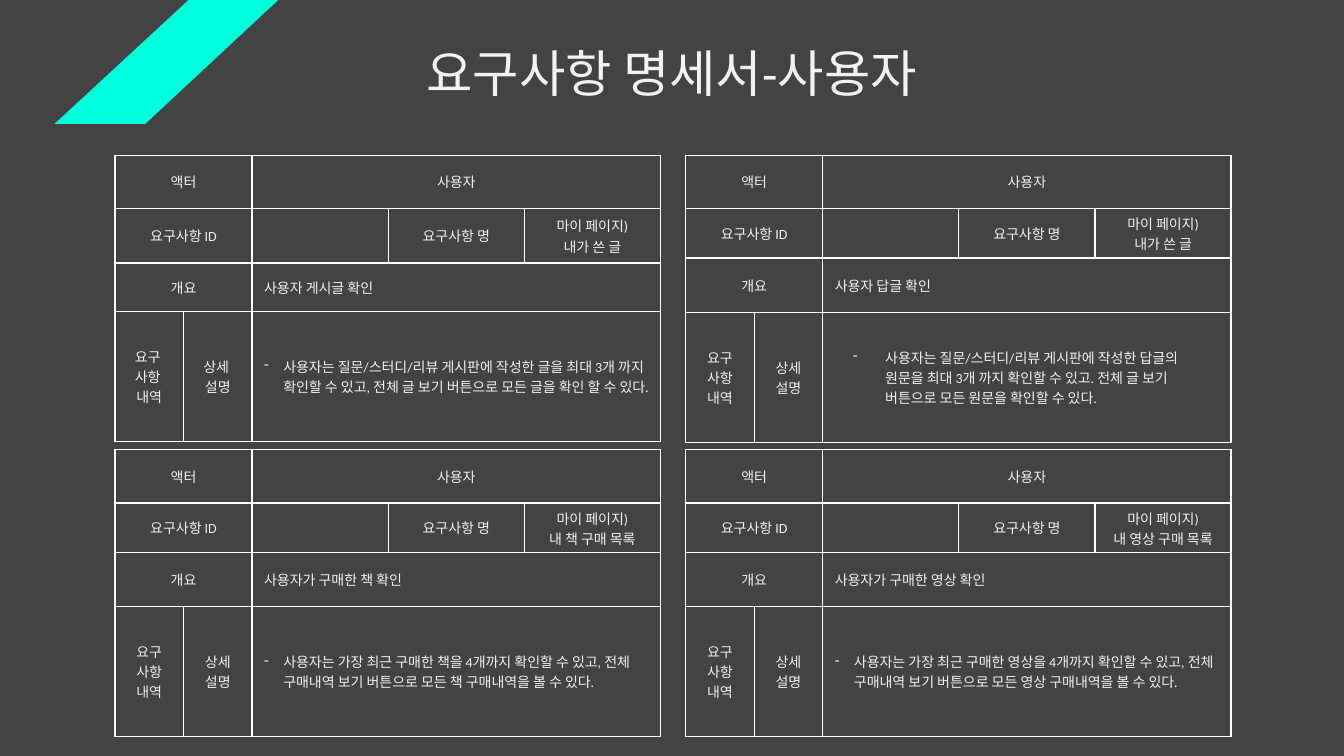
from dataclasses import dataclass

from lxml import etree
from pptx import Presentation
from pptx import util as u
from pptx.dml.color import RGBColor
from pptx.enum import text
from pptx.oxml import ns
from pptx.slide import Slide
from pptx.table import Table, _Cell
from pptx.text.text import TextFrame


@dataclass(frozen=True)
class Theme:
    back: str = "434343"
    ink: str = "F2F2F2"
    line: str = "FFFFFF"
    accent: str = "00FFDB"
    face: str = "Calibri"
    head: int = 36
    body: int = 10


@dataclass(frozen=True)
class Card:
    left: float
    top: float
    name: str
    brief: str
    detail: str
    rows: tuple[float, ...] = (0.53, 0.49, 0.54, 1.29)
    margin: float = 0.19
    indent: float = -0.19
    gap: str = ""


THEME = Theme()
COLS = (0.68, 0.68, 1.35, 1.35, 1.35)
LEFT, RIGHT = 1.14, 6.8
UPPER, LOWER = 1.54, 4.46
MERGES = ((0, 0, 1), (0, 2, 4), (1, 0, 1), (2, 0, 1), (2, 2, 4), (3, 2, 4))
CARDS = (
    Card(LEFT, UPPER, "내가 쓴 글", "사용자 게시글 확인",
         "사용자는 질문/스터디/리뷰 게시판에 작성한 글을 최대 3개 까지 확인할 수 있고, "
         "전체 글 보기 버튼으로 모든 글을 확인 할 수 있다.",
         rows=(0.53, 0.54, 0.48, 1.29), gap=" "),
    Card(RIGHT, UPPER, "내가 쓴 글", "사용자 답글 확인",
         "사용자는 질문/스터디/리뷰 게시판에 작성한 답글의 원문을 최대 3개 까지 확인할 수 있고. "
         "전체 글 보기 버튼으로 모든 원문을 확인할 수 있다.",
         margin=0.5, indent=-0.32),
    Card(LEFT, LOWER, "내 책 구매 목록", "사용자가 구매한 책 확인",
         "사용자는 가장 최근 구매한 책을 4개까지 확인할 수 있고, "
         "전체 구매내역 보기 버튼으로 모든 책 구매내역을 볼 수 있다."),
    Card(RIGHT, LOWER, "내 영상 구매 목록", "사용자가 구매한 영상 확인",
         "사용자는 가장 최근 구매한 영상을 4개까지 확인할 수 있고, "
         "전체 구매내역 보기 버튼으로 모든 영상 구매내역을 볼 수 있다."),
)


def color(code: str) -> RGBColor:
    return RGBColor.from_string(code)


def style(frame: TextFrame, size: int, align: text.PP_ALIGN) -> None:
    for para in frame.paragraphs:
        para.alignment = align
        para.font.size = u.Pt(size)
        para.font.name = THEME.face
        para.font.color.rgb = color(THEME.ink)


def border(cell: _Cell) -> None:
    props = cell._tc.get_or_add_tcPr()
    for spot, side in enumerate(("lnL", "lnR", "lnT", "lnB")):
        line = etree.Element(ns.qn(f"a:{side}"), w=str(u.Pt(1)))
        fill = etree.SubElement(line, ns.qn("a:solidFill"))
        etree.SubElement(fill, ns.qn("a:srgbClr"), val=THEME.line)
        props.insert(spot, line)


def bullet(cell: _Cell, card: Card) -> None:
    props = cell.text_frame.paragraphs[0]._p.get_or_add_pPr()
    props.set("marL", str(u.Inches(card.margin)))
    props.set("indent", str(u.Inches(card.indent)))
    tint = etree.Element(ns.qn("a:buClr"))
    etree.SubElement(tint, ns.qn("a:srgbClr"), val=THEME.ink)
    props.insert(0, tint)
    props.insert(1, etree.Element(ns.qn("a:buChar"), char="-"))


def words(card: Card) -> dict[tuple[int, int], str]:
    split = f"{card.gap}\n"
    return {
        (0, 0): "액터",
        (0, 2): "사용자",
        (1, 0): "요구사항 ID",
        (1, 3): "요구사항 명",
        (1, 4): f"마이 페이지)\n{card.name}",
        (2, 0): "개요",
        (2, 2): card.brief,
        (3, 0): split.join(("요구", "사항", "내역")),
        (3, 1): split.join(("상세", "설명")),
        (3, 2): card.detail,
    }


def fill_in(table: Table, card: Card) -> None:
    labels = words(card)
    for row in range(len(card.rows)):
        for col in range(len(COLS)):
            cell = table.cell(row, col)
            cell.text = labels.get((row, col), "")
            cell.fill.solid()
            cell.fill.fore_color.rgb = color(THEME.back)
            cell.vertical_anchor = text.MSO_ANCHOR.MIDDLE
            cell.margin_left = cell.margin_right = u.Inches(0.12)
            cell.margin_top = cell.margin_bottom = u.Inches(0.05)
            prose = row > 1 and col == 2
            align = text.PP_ALIGN.LEFT if prose else text.PP_ALIGN.CENTER
            style(cell.text_frame, THEME.body, align)
            border(cell)
    bullet(table.cell(3, 2), card)


def add_card(slide: Slide, card: Card) -> None:
    table = slide.shapes.add_table(
        len(card.rows), len(COLS), u.Inches(card.left), u.Inches(card.top),
        u.Inches(sum(COLS)), u.Inches(sum(card.rows))).table
    table.first_row = table.horz_banding = False
    for col, width in zip(table.columns, COLS):
        col.width = u.Inches(width)
    for row, height in zip(table.rows, card.rows):
        row.height = u.Inches(height)
    fill_in(table, card)
    for row, first, last in MERGES:
        table.cell(row, first).merge(table.cell(row, last))


def add_title(slide: Slide) -> None:
    box = slide.shapes.add_textbox(
        u.Inches(1.15), u.Inches(0.37), u.Inches(11.02), u.Inches(0.71))
    frame = box.text_frame
    frame.word_wrap = True
    frame.auto_size = text.MSO_AUTO_SIZE.SHAPE_TO_FIT_TEXT
    frame.text = "요구사항 명세서-사용자"
    style(frame, THEME.head, text.PP_ALIGN.CENTER)


def add_stripe(slide: Slide) -> None:
    points = [(u.Inches(x), u.Inches(y))
              for x, y in ((2.76, 0), (1.87, 0), (0.54, 1.23), (1.44, 1.23))]
    pen = slide.shapes.build_freeform(*points[0])
    pen.add_line_segments(points[1:], close=True)
    stripe = pen.convert_to_shape()
    stripe.shadow.inherit = False
    stripe.fill.solid()
    stripe.fill.fore_color.rgb = color(THEME.accent)
    stripe.line.fill.background()


def main() -> None:
    deck = Presentation()
    deck.slide_width, deck.slide_height = u.Inches(13.33), u.Inches(7.5)
    slide = deck.slides.add_slide(deck.slide_layouts[6])
    slide.background.fill.solid()
    slide.background.fill.fore_color.rgb = color(THEME.back)
    add_title(slide)
    add_stripe(slide)
    for card in CARDS:
        add_card(slide, card)
    deck.save("out.pptx")


if __name__ == "__main__":
    main()
